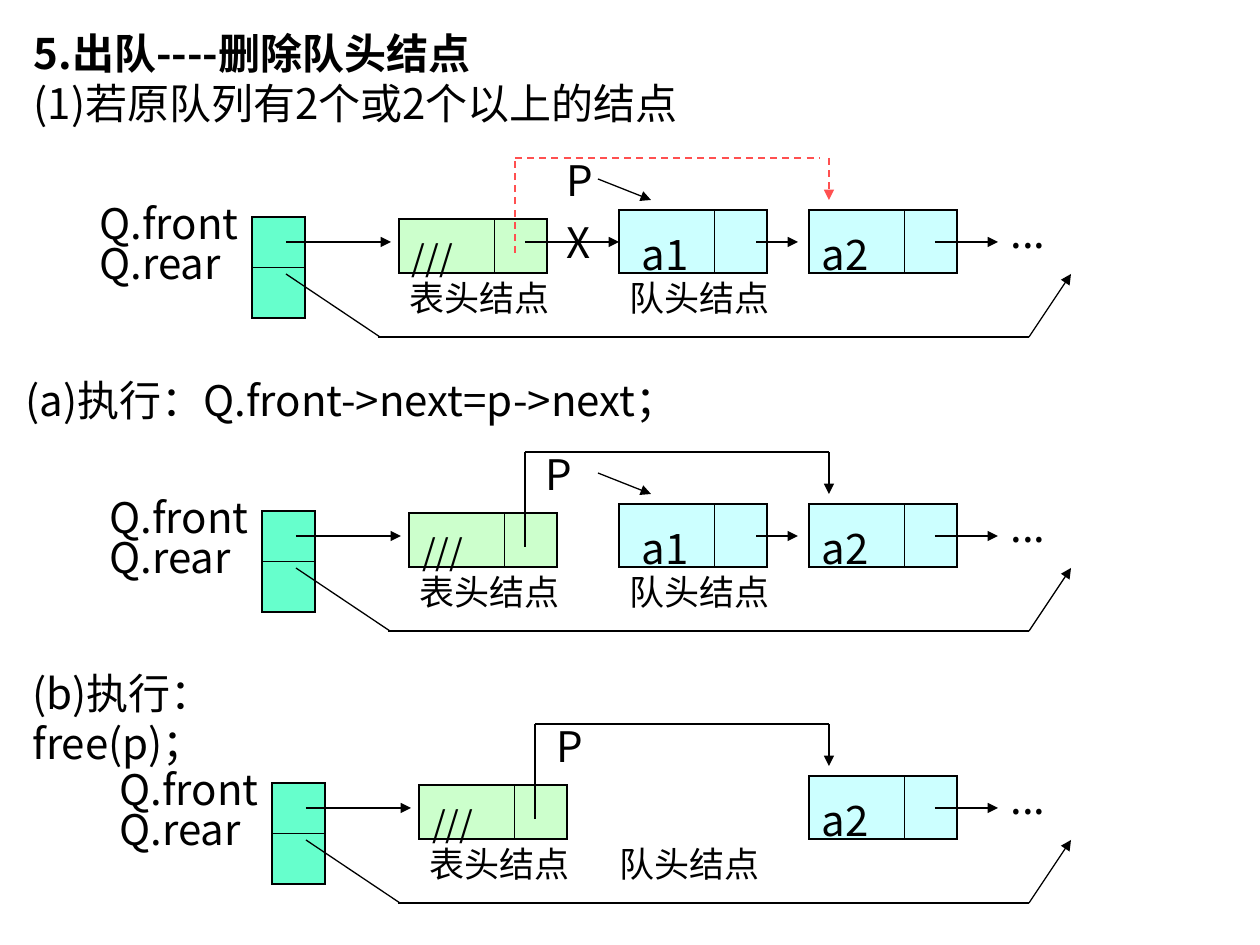
from pptx import Presentation
from pptx.dml.color import RGBColor
from pptx.enum.dml import MSO_LINE
from pptx.enum.shapes import MSO_CONNECTOR
from pptx.enum.text import MSO_ANCHOR, MSO_AUTO_SIZE, PP_ALIGN
from pptx.oxml.ns import qn
from pptx.util import Pt
from lxml.etree import SubElement

PX = 914400 / 126
FONT = "Noto Sans CJK SC"
COLORS = {"ink": "000000", "pointer": "66FFCC", "header": "CCFFCC",
          "node": "CCFFFF", "relink": "FF5050"}
TABLE_FLAGS = {"first_row": False, "horz_banding": False}
OUTER, INNER = 1.08, 0.45
NODE_COLUMNS = (95, 53)
NODE_X, NODE_STEP = 619, 190
LINK_X = 829


def emu(*lengths):
    return [round(length * PX) for length in lengths]


def color(key):
    return RGBColor.from_string(COLORS[key])


def apply(target, formats):
    for attribute, value in formats.items():
        setattr(target, attribute, value)


def style_paragraph(paragraph, size, bold=False, spacing=None):
    paragraph.line_spacing = spacing
    paragraph.alignment = PP_ALIGN.LEFT
    for run in paragraph.runs:
        apply(run.font, {"name": FONT, "size": Pt(size), "bold": bold})
        run.font.color.rgb = color("ink")
        SubElement(run.font._element, qn("a:ea"), typeface=FONT)


def add_label(slide, text, box, size=24, spacing=None, wrap=True):
    frame = slide.shapes.add_textbox(*emu(*box)).text_frame
    frame.word_wrap = wrap
    frame.text = text
    for paragraph in frame.paragraphs:
        style_paragraph(paragraph, size, spacing=spacing)


def add_line(slide, start, end, arrow=False, width=0.75, ink="ink", dash=None):
    line = slide.shapes.add_connector(MSO_CONNECTOR.STRAIGHT, *emu(*start, *end))
    line.line.color.rgb = color(ink)
    apply(line.line, {"width": Pt(width), "dash_style": dash})
    if arrow:
        SubElement(line.line._get_or_add_ln(), qn("a:tailEnd"), type="triangle")
    SubElement(line._element.spPr, qn("a:effectLst"))


def add_cells(slide, left, top, columns, rows, fill):
    """Add a filled table with thick outer and thin inner borders."""
    box = emu(left, top, sum(columns), sum(rows))
    table = slide.shapes.add_table(len(rows), len(columns), *box).table
    apply(table, TABLE_FLAGS)
    for column, width in zip(table.columns, emu(*columns)):
        column.width = width
    for row, height in zip(table.rows, emu(*rows)):
        row.height = height
    for r in range(len(rows)):
        for c in range(len(columns)):
            cell = table.cell(r, c)
            on_edge = {"L": c == 0, "R": c == len(columns) - 1,
                       "T": r == 0, "B": r == len(rows) - 1}
            properties = cell._tc.get_or_add_tcPr()
            for side, outer in on_edge.items():
                width = Pt(OUTER if outer else INNER)
                border = SubElement(properties, qn(f"a:ln{side}"), w=str(int(width)))
                solid = SubElement(border, qn("a:solidFill"))
                SubElement(solid, qn("a:srgbClr"), val=COLORS["ink"])
            cell.fill.solid()
            cell.fill.fore_color.rgb = color(fill)
    return table


def add_node(slide, text, left, top, height, fill, size=24, inset=13):
    cell = add_cells(slide, left, top, NODE_COLUMNS, (height,), fill).cell(0, 0)
    cell.text = text
    margin_left, margin_top = emu(inset, 12)
    apply(cell, {"margin_left": margin_left, "margin_top": margin_top,
                 "margin_bottom": 0})
    style_paragraph(cell.text_frame.paragraphs[0], size)


def draw_head(slide, left, top):
    """Draw the queue pointers, the header node and the rear pointer's route."""
    add_label(slide, "Q.front\nQ.rear", (left, top + 43, 168, 93),
              spacing=0.8, wrap=False)
    add_cells(slide, left + 165, top + 59, (53,), (45, 38), "pointer")
    add_node(slide, "///", left + 312, top + 61, 54, "header", size=20)
    add_label(slide, "表头结点", (left + 310, top + 117, 202, 50), 20, 0.9)
    add_line(slide, (left + 199, top + 84), (left + 304, top + 84), arrow=True)
    add_line(slide, (left + 199, top + 116), (left + 293, top + 179))
    add_line(slide, (left + 291, top + 179), (1029, top + 179))
    add_line(slide, (1029, top + 179), (1071, top + 116), arrow=True)


def draw_first_node(slide, left, top):
    """Draw a1 with its arrow to a2 and the arrow from P."""
    add_node(slide, "a1", left, top + 52, 63, "node", inset=23)
    add_line(slide, (left + 137, top + 84), (left + 179, top + 84), arrow=True)
    add_line(slide, (left - 21, top + 21), (left + 32, top + 42), arrow=True)


def draw_second_node(slide, left, top):
    add_node(slide, "a2", left, top + 52, 63, "node")
    add_line(slide, (left + 126, top + 84), (left + 189, top + 84), arrow=True)
    add_label(slide, "...", (left + 189, top + 42, 74, 63))


def draw_link(slide, left, top, right_gap=0, **line_format):
    """Draw the route from the header node over a1 to a2."""
    add_line(slide, (left, top + 95), (left, top), width=1, **line_format)
    add_line(slide, (left, top), (LINK_X - right_gap, top), width=1, **line_format)
    add_line(slide, (LINK_X, top), (LINK_X, top + 42), arrow=True, width=1,
             **line_format)


def draw_queue(slide, left, top, p_left, has_first=True, caption_left=617, **link):
    draw_head(slide, left, top)
    if has_first:
        draw_first_node(slide, NODE_X, top)
    add_label(slide, "队头结点", (caption_left, top + 117, 202, 50), 20, 0.9)
    draw_second_node(slide, NODE_X + NODE_STEP, top)
    draw_link(slide, left + 428, top, **link)
    add_label(slide, "P", (p_left, top - 10, 34, 63))


def draw_title(slide, box):
    title = slide.shapes.title
    apply(title, dict(zip(("left", "top", "width", "height"), emu(*box))))
    frame = title.text_frame
    frame.text = "5.出队----删除队头结点\n(1)若原队列有2个或2个以上的结点"
    apply(frame, {"vertical_anchor": MSO_ANCHOR.TOP, "word_wrap": True,
                  "auto_size": MSO_AUTO_SIZE.NONE})
    for paragraph, bold in zip(frame.paragraphs, (True, False)):
        style_paragraph(paragraph, 24, bold)


def main():
    deck = Presentation()
    deck.slide_width, deck.slide_height = emu(1260, 945)
    slide = deck.slides.add_slide(deck.slide_layouts[5])
    draw_title(slide, (21, 21, 1207, 126))

    draw_queue(slide, 87, 158, 554, right_gap=10, ink="relink", dash=MSO_LINE.DASH)
    add_line(slide, (525, 242), (NODE_X, 242), arrow=True)
    add_label(slide, "X", (554, 210, 49, 63), wrap=False)

    add_label(slide, "(a)执行：Q.front->next=p->next；", (13, 368, 713, 63), wrap=False)
    draw_queue(slide, 97, 452, 533)

    add_label(slide, "(b)执行：free(p)；", (20, 661, 230, 63))
    draw_queue(slide, 107, 724, 544, has_first=False, caption_left=607)
    deck.save("out.pptx")


if __name__ == "__main__":
    main()
